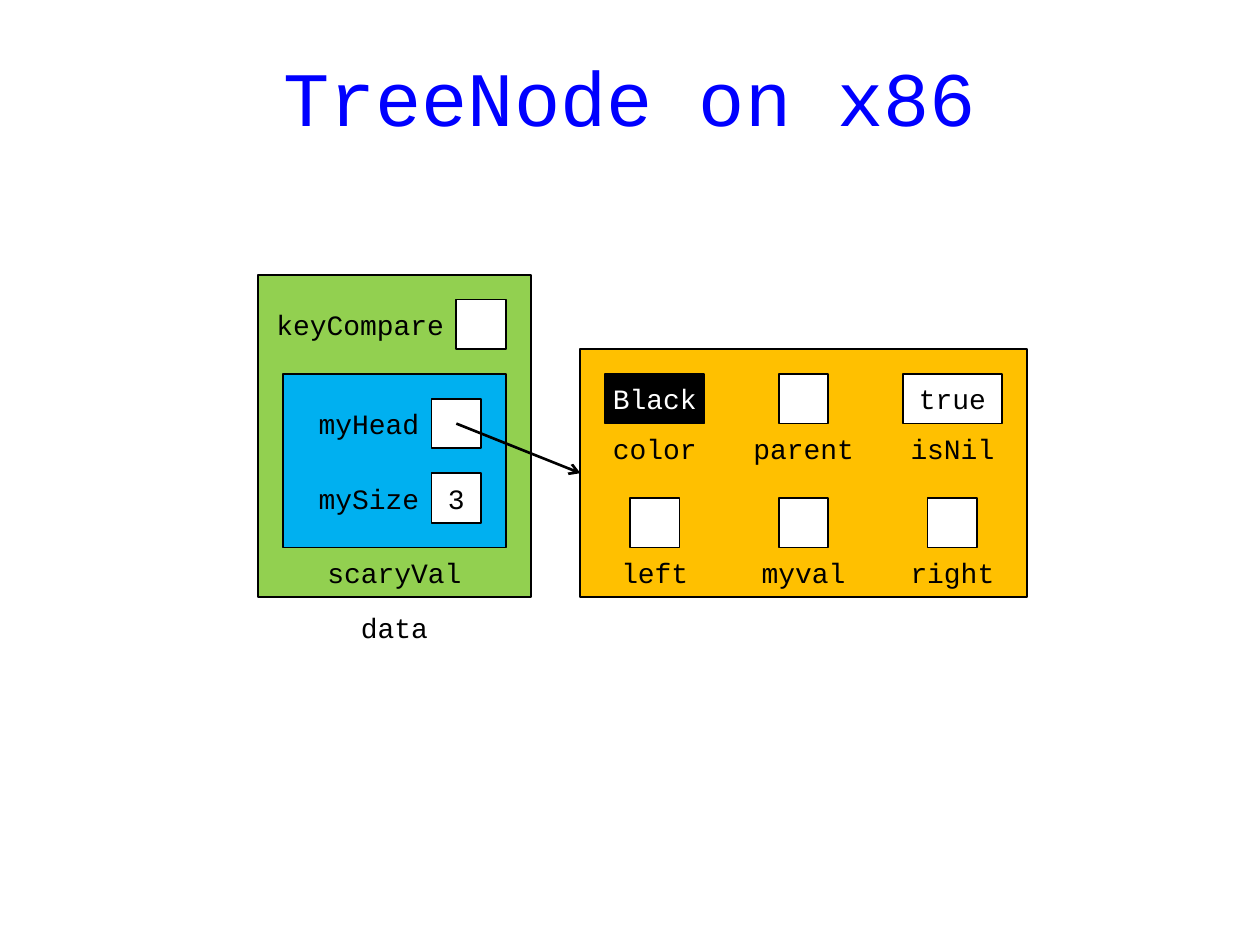
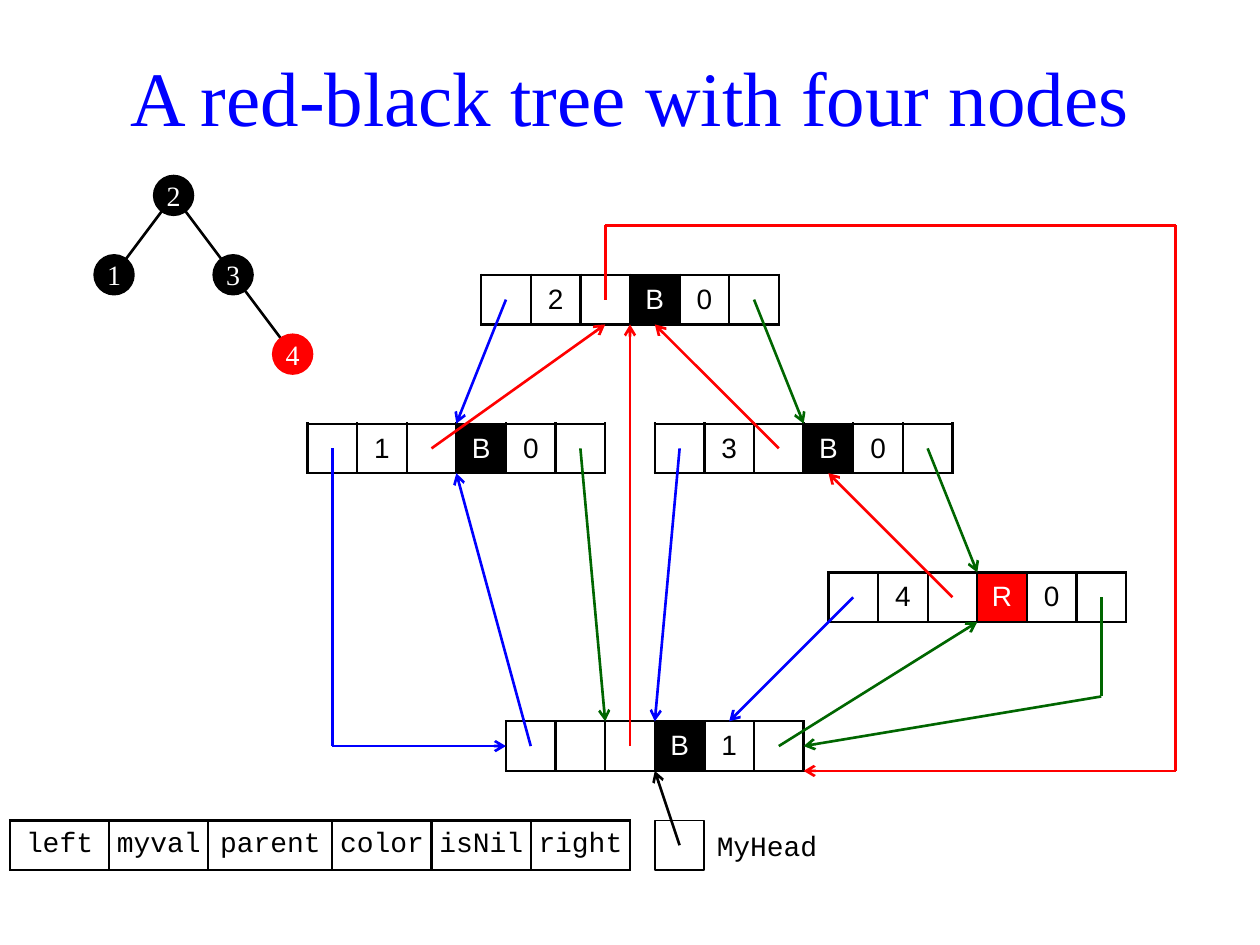
"""Build two slides on the memory layout of a red-black tree."""
from pptx import Presentation
from pptx.dml.color import RGBColor
from pptx.enum.shapes import MSO_CONNECTOR, MSO_SHAPE
from pptx.enum.text import MSO_ANCHOR, MSO_AUTO_SIZE, PP_ALIGN
from pptx.oxml import parse_xml
from pptx.oxml.ns import nsdecls, qn
from pptx.util import Cm, Pt

RECT, OVAL = MSO_SHAPE.RECTANGLE, MSO_SHAPE.OVAL
STRAIGHT = MSO_CONNECTOR.STRAIGHT
MIDDLE = MSO_ANCHOR.MIDDLE
LEFT, CENTER, RIGHT = PP_ALIGN.LEFT, PP_ALIGN.CENTER, PP_ALIGN.RIGHT
NO_FIT = MSO_AUTO_SIZE.NONE

COLORS = {
    "title": "0000FF", "black": "000000", "white": "FFFFFF", "red": "FF0000",
    "left": "0000FF", "parent": "FF0000", "right": "006600",
    "data": "92D050", "scary": "00B0F0", "node": "FFC000",
}
MONO, SANS, SERIF = "Courier New", "Arial", "Times New Roman"
GRID_X, GRID_Y = 0.2, 0.04
TITLE_ONLY = 5

CONTAINERS = [
    (5, 5.5, 5.5, 6.5, "data"),
    (5.5, 7.5, 4.5, 3.5, "scary"),
    (11.5, 7, 9, 5, "node"),
]
MEMBERS = [
    ("keyCompare", "", 9, 6, 4),
    ("myHead", "", 8.5, 8, 3),
    ("mySize", "3", 8.5, 9.5, 3),
]
CAPTIONS = [("scaryVal", 6, 11, 3.5, 1), ("data", 6.5, 12, 2.5, 1.2)]
NODE_FIELDS = [
    [("color", "Black", 2, "black"), ("parent", "", 1, "white"), ("isNil", "true", 2, "white")],
    [("left", "", 1, "white"), ("myval", "", 1, "white"), ("right", "", 1, "white")],
]
FIELD_CENTERS, FIELD_TOPS = (13, 16, 19), (7.5, 10)

LEGEND = {"left": 2, "myval": 2, "parent": 2.5, "color": 2, "isNil": 2, "right": 2}
NODES = {
    "2": (9.5, 5.5, ["", "2", "", "B", "0", ""]),
    "1": (6, 8.5, ["", "1", "", "B", "0", ""]),
    "3": (13, 8.5, ["", "3", "", "B", "0", ""]),
    "4": (16.5, 11.5, ["", "4", "", "R", "0", ""]),
    "head": (10, 14.5, ["", "", "", "B", "1", ""]),
}
TAG_FILLS = {"B": "black", "R": "red"}
FIELD_CELLS = {"left": 0, "parent": 2, "right": 5}
POINTERS = [
    ("2", "left", [], "1", 3, 0),
    ("1", "left", [(6.5, 15)], "head", 0, 0.5),
    ("3", "left", [], "head", 3, 0),
    ("4", "left", [], "head", 4.5, 0),
    ("head", "left", [], "1", 3, 1),
    ("2", "right", [], "3", 3, 0),
    ("1", "right", [], "head", 2, 0),
    ("3", "right", [], "4", 3, 0),
    ("4", "right", [(22, 14)], "head", 6, 0.5),
    ("head", "right", [], "4", 3, 1),
    ("2", "parent", [(12, 4.5), (23.5, 4.5), (23.5, 15.5)], "head", 6, 1),
    ("1", "parent", [], "2", 2.5, 1),
    ("3", "parent", [], "2", 3.5, 1),
    ("4", "parent", [], "3", 3.5, 1),
    ("head", "parent", [], "2", 3, 1),
]
TREE_ROOT, TREE_STEP, DISC = (3.3, 3.9), (1.2, 1.6), 0.8
TREE = {"2": (0, 0, "black"), "1": (-1, 1, "black"), "3": (1, 1, "black"), "4": (2, 2, "red")}
BRANCHES = [("2", "1"), ("2", "3"), ("3", "4")]


def rgb(name):
    return RGBColor.from_string(COLORS[name])


def place(x, y):
    return Cm(GRID_X + x), Cm(GRID_Y + y)


def write(frame, text, font=MONO, size=16, color="black", align=CENTER, inset=0, spacing=None):
    frame.word_wrap = True
    frame.vertical_anchor = MIDDLE
    frame.margin_left = frame.margin_right = Cm(inset)
    frame.margin_top = frame.margin_bottom = 0
    paragraph = frame.paragraphs[0]
    paragraph.alignment = align
    paragraph.line_spacing = spacing
    run = paragraph.add_run()
    run.text = text
    run.font.name, run.font.size = font, Pt(size)
    run.font.color.rgb = rgb(color)


def add_titled_slide(deck, text, font):
    slide = deck.slides.add_slide(deck.slide_layouts[TITLE_ONLY])
    title = slide.shapes.title
    title.left, title.top = place(1, 0.5)
    title.width, title.height = Cm(23), Cm(3)
    title.text_frame.auto_size = NO_FIT
    write(title.text_frame, text, font=font, size=44, color="title", spacing=0.9)
    return slide


def add_box(slide, x, y, width=1, height=1, fill="white", text="", kind=RECT, line="black", **style):
    box = slide.shapes.add_shape(kind, *place(x, y), Cm(width), Cm(height))
    box.shadow.inherit = False
    box.fill.solid()
    box.fill.fore_color.rgb = rgb(fill)
    box.line.color.rgb = rgb(line)
    box.line.width = Pt(1)
    if text:
        write(box.text_frame, text, **style)


def add_label(slide, text, x, y, width, height=1, **style):
    label = slide.shapes.add_textbox(*place(x, y), Cm(width), Cm(height))
    write(label.text_frame, text, **style)


def add_route(slide, points, color="black", arrow=True):
    for start, end in zip(points, points[1:]):
        segment = slide.shapes.add_connector(STRAIGHT, *place(*start), *place(*end))
        segment.line.color.rgb = rgb(color)
        segment.line.width = Pt(1.5)
        properties = segment.element.spPr
        if arrow and end == points[-1]:
            tail = parse_xml(f'<a:tailEnd {nsdecls("a")} type="arrow"/>')
            properties.find(qn("a:ln")).append(tail)
        properties.append(parse_xml(f'<a:effectLst {nsdecls("a")}/>'))


def add_cells(slide, x, y, texts, widths, font):
    frame = slide.shapes.add_table(1, len(texts), *place(x, y), Cm(sum(widths)), Cm(1))
    table = frame.table
    table.first_row = table.horz_banding = False
    for column, width in zip(table.columns, widths):
        column.width = Cm(width)
    for cell, text in zip(table.rows[0].cells, texts):
        for side in "LRTB":
            cell._tc.get_or_add_tcPr().append(parse_xml(
                f'<a:ln{side} {nsdecls("a")} w="{Pt(1.5)}"><a:solidFill>'
                f'<a:srgbClr val="{COLORS["black"]}"/></a:solidFill></a:ln{side}>'))
        cell.margin_left = cell.margin_right = cell.margin_top = cell.margin_bottom = 0
        cell.vertical_anchor = MIDDLE
        cell.fill.background()
        if text in TAG_FILLS:
            cell.fill.solid()
            cell.fill.fore_color.rgb = rgb(TAG_FILLS[text])
        if text:
            write(cell.text_frame, text, font=font, color="white" if text in TAG_FILLS else "black")


def build_layout_slide(deck):
    slide = add_titled_slide(deck, "TreeNode on x86", MONO)
    for x, y, width, height, fill in CONTAINERS:
        add_box(slide, x, y, width, height, fill)
    for name, value, x, y, label_width in MEMBERS:
        add_box(slide, x, y, text=value)
        add_label(slide, name, x - label_width, y, label_width, align=RIGHT, inset=0.25)
    for text, x, y, width, height in CAPTIONS:
        add_label(slide, text, x, y, width, height)
    for top, fields in zip(FIELD_TOPS, NODE_FIELDS):
        for center, (name, value, width, fill) in zip(FIELD_CENTERS, fields):
            color = "white" if fill == "black" else "black"
            add_box(slide, center - width / 2, top, width, fill=fill, text=value, color=color)
            add_label(slide, name, center - 1.5, top + 1, 3)
    add_route(slide, [(9, 8.5), (11.5, 9.5)])


def add_pointers(slide):
    for source, field, bends, target, dx, dy in POINTERS:
        x, y, _ = NODES[source]
        target_x, target_y, _ = NODES[target]
        start = (x + FIELD_CELLS[field] + 0.5, y + 0.5)
        add_route(slide, [start, *bends, (target_x + dx, target_y + dy)], field)


def add_small_tree(slide):
    centers = {key: (TREE_ROOT[0] + column * TREE_STEP[0], TREE_ROOT[1] + level * TREE_STEP[1])
               for key, (column, level, _) in TREE.items()}
    for parent, child in BRANCHES:
        add_route(slide, [centers[parent], centers[child]], arrow=False)
    for key, (x, y) in centers.items():
        color = TREE[key][2]
        add_box(slide, x - DISC / 2, y - DISC / 2, DISC, DISC, color, key, OVAL, color,
                font=SERIF, color="white")


def build_tree_slide(deck):
    slide = add_titled_slide(deck, "A red-black tree with four nodes", SERIF)
    for x, y, texts in NODES.values():
        add_cells(slide, x, y, texts, [1] * len(texts), SANS)
    add_cells(slide, 0, 16.5, list(LEGEND), list(LEGEND.values()), MONO)
    add_box(slide, 13, 16.5)
    add_label(slide, "MyHead", 14, 16.5, 3, align=LEFT, inset=0.25)
    add_route(slide, [(13.5, 17), (13, 15.5)])
    add_pointers(slide)
    add_small_tree(slide)


def main():
    deck = Presentation()
    deck.slide_width, deck.slide_height = Cm(25.4), Cm(19.05)
    build_layout_slide(deck)
    build_tree_slide(deck)
    deck.save("out.pptx")


if __name__ == "__main__":
    main()
